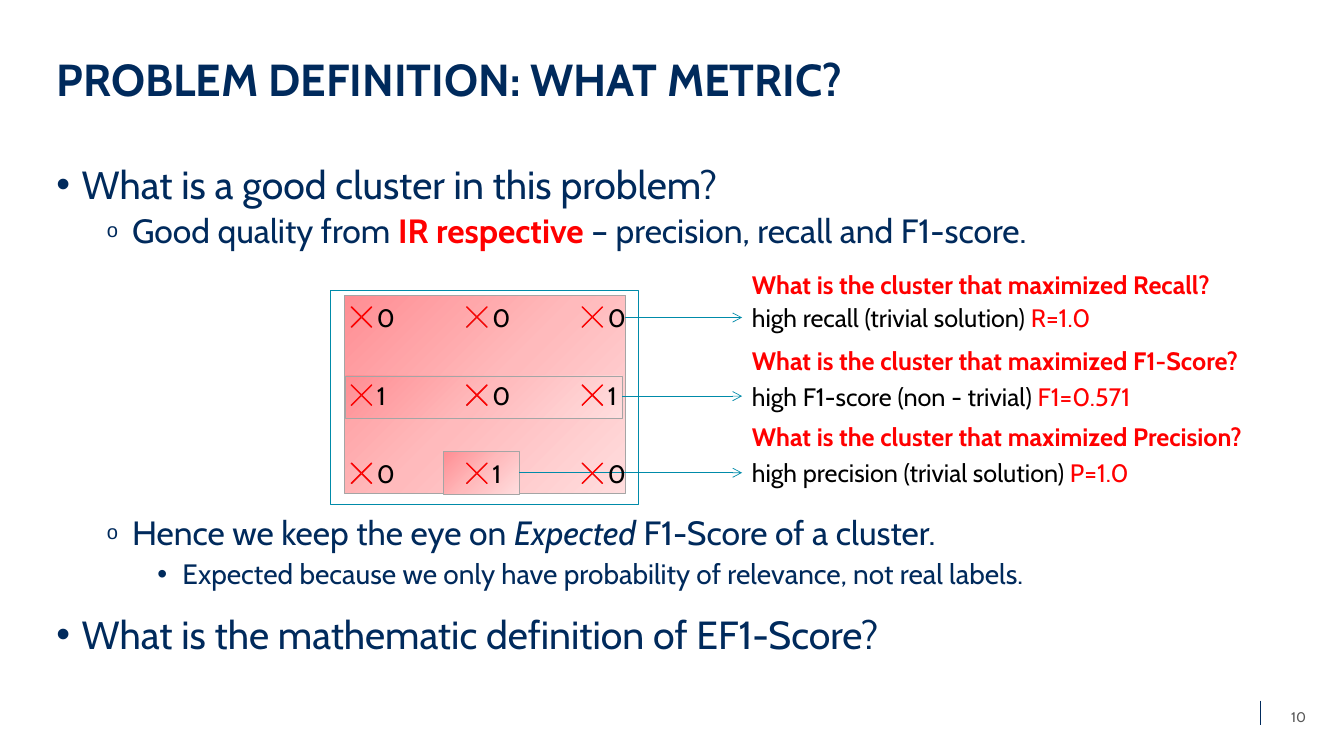
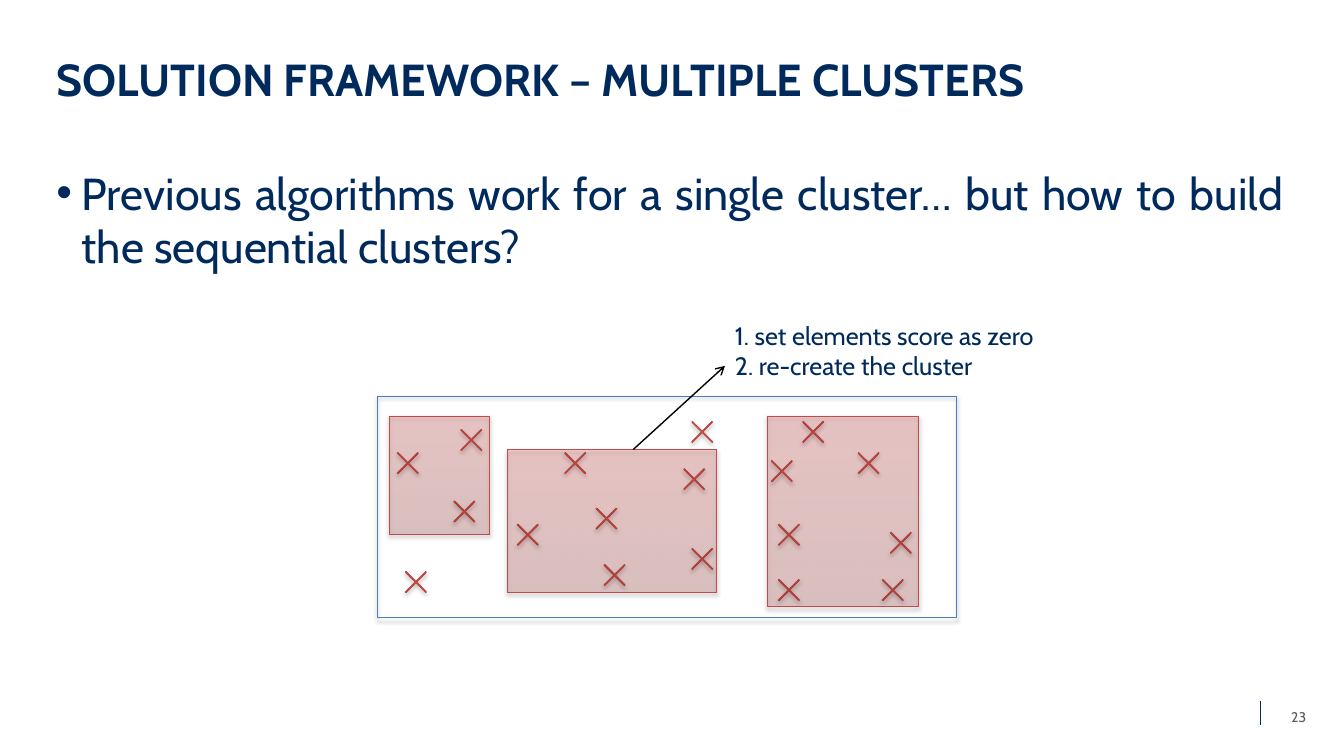
from pptx import Presentation
from pptx.dml.color import RGBColor
from pptx.enum import shapes, text
from pptx.oxml import parse_xml
from pptx.oxml.ns import nsdecls, qn
from pptx.util import Inches, Pt

COLORS = {
    "navy": "002A5C", "red": "FF0000", "black": "000000", "gray": "595959",
    "teal": "008BA9", "silver": "A5A5A5", "blue": "4B7EBC", "brick": "BF4C48",
}
FONT = "Cabin"
ROUND = '<a:path path="circle"><a:fillToRect r="100000" b="100000"/></a:path>'
UP = '<a:lin ang="16200000" scaled="0"/>'
DOWN = '<a:lin ang="5400000" scaled="0"/>'
BRICKS = [(0, "9C2F2D"), (80, "CB3E3A"), (100, "CE3B37")]
# Gradients: stops, direction, opacity in percent
FILLS = {
    "pink": ([(0, "FF8E93"), (50, "FFBABC"), (100, "FFDDDE")], ROUND, 100),
    "steel": ([(0, "AFAFAF"), (50, "A5A5A5"), (100, "939393")], DOWN, 100),
    "brick": (BRICKS, UP, 100),
    "glass": (BRICKS, UP, 23),
}
# Bullet levels: left indent, mark, mark size in percent
LEVELS = [(0.25, "•", 100), (0.75, "o", 60), (1.25, "•", 100)]
MARK = 0.39


def rgb(name):
    return RGBColor.from_string(COLORS[name])


def style(font, size, color="navy", bold=False):
    font.name, font.size, font.bold = FONT, Pt(size), bold
    font.color.rgb = rgb(color)


def write(para, parts, size, color="navy", bold=False):
    """Parts are strings or (string, font changes) pairs."""
    style(para.font, size, color, bold)
    for part in [parts] if isinstance(parts, str) else parts:
        words, change = (part, {}) if isinstance(part, str) else part
        run = para.add_run()
        run.text = words
        if "color" in change:
            run.font.color.rgb = rgb(change["color"])
        if "bold" in change:
            run.font.bold = change["bold"]
        if "italic" in change:
            run.font.italic = change["italic"]


def indent(para, left, hang):
    props = para._p.get_or_add_pPr()
    props.set("marL", str(Inches(left)))
    props.set("indent", str(-Inches(hang)))
    return props


def place(shape, x, y, w, h):
    shape.left, shape.top = Inches(x), Inches(y)
    shape.width, shape.height = Inches(w), Inches(h)


def label(slide, x, y, w, h, lines, size=18, color="black", bold=False,
          wrap=True, align=text.PP_ALIGN.LEFT, hang=0):
    box = slide.shapes.add_textbox(Inches(x), Inches(y), Inches(w), Inches(h))
    frame = box.text_frame
    frame.word_wrap = wrap
    for i, parts in enumerate(lines):
        para = frame.add_paragraph() if i else frame.paragraphs[0]
        para.alignment = align
        if hang:
            indent(para, hang, hang)
        write(para, parts, size, color, bold)
    return frame


def shade(shape, name):
    stops, way, alpha = FILLS[name]
    marks = "".join(
        f'<a:gs pos="{pos * 1000}"><a:srgbClr val="{hue}">'
        f'<a:alpha val="{alpha * 1000}"/></a:srgbClr></a:gs>'
        for pos, hue in stops)
    grad = parse_xml(f'<a:gradFill {nsdecls("a")} rotWithShape="1">'
                     f'<a:gsLst>{marks}</a:gsLst>{way}</a:gradFill>')
    props = shape._element.spPr
    props.replace(props.find(qn("a:noFill")), grad)


def draw(slide, kind, x, y, w, h, fill, line, width=0.5, shadow=False):
    shape = slide.shapes.add_shape(kind, Inches(x), Inches(y),
                                   Inches(w), Inches(h))
    shape.fill.background()
    if fill:
        shade(shape, fill)
    shape.line.color.rgb, shape.line.width = rgb(line), Pt(width)
    shape.shadow.inherit = False
    if shadow:
        shape._element.spPr.find(qn("a:effectLst")).append(parse_xml(
            f'<a:outerShdw {nsdecls("a")} blurRad="{Pt(3.1)}" '
            f'dist="{Pt(1.8)}" dir="5400000" rotWithShape="0">'
            '<a:srgbClr val="000000"><a:alpha val="35000"/></a:srgbClr>'
            '</a:outerShdw>'))
    return shape


def rect(slide, *args, **more):
    return draw(slide, shapes.MSO_SHAPE.RECTANGLE, *args, **more)


def cross(slide, x, y, *args, **more):
    mark = draw(slide, shapes.MSO_SHAPE.MATH_MULTIPLY, x, y, MARK, MARK,
                *args, **more)
    mark.adjustments[0] = 0.02


def rule(slide, x1, y1, x2, y2, color, width=0.5, arrow=False):
    line = slide.shapes.add_connector(
        shapes.MSO_CONNECTOR.STRAIGHT,
        Inches(x1), Inches(y1), Inches(x2), Inches(y2))
    line.line.color.rgb, line.line.width = rgb(color), Pt(width)
    props = line._element.spPr
    if arrow:
        props.find(qn("a:ln")).append(
            parse_xml(f'<a:tailEnd {nsdecls("a")} type="arrow"/>'))
    props.append(parse_xml(f'<a:effectLst {nsdecls("a")}/>'))


def base(deck, title, number):
    """Title, footer rule and page number."""
    slide = deck.slides.add_slide(deck.slide_layouts[1])
    head = slide.shapes.title
    place(head, 0.46, 0.33, 12.38, 0.96)
    frame = head.text_frame
    frame.auto_size = text.MSO_AUTO_SIZE.NONE
    frame.vertical_anchor = text.MSO_ANCHOR.MIDDLE
    para = frame.paragraphs[0]
    para.alignment, para.line_spacing = text.PP_ALIGN.LEFT, 0.9
    write(para, title, 32, bold=True)
    rule(slide, 12.5, 6.95, 12.5, 7.19, "navy")
    page = label(slide, 12.64, 6.91, 0.48, 0.4, [number], 10, "gray",
                 align=text.PP_ALIGN.CENTER)
    page.vertical_anchor = text.MSO_ANCHOR.MIDDLE
    return slide


def bullets(slide, height, items, spacing):
    """Items are (level, space before, size, parts)."""
    body = slide.placeholders[1]
    place(body, 0.46, 1.59, 12.38, height)
    frame = body.text_frame
    frame.auto_size = text.MSO_AUTO_SIZE.NONE
    for i, (level, gap, size, parts) in enumerate(items):
        para = frame.add_paragraph() if i else frame.paragraphs[0]
        left, mark, scale = LEVELS[level]
        props = indent(para, left, 0.25)
        para.level, para.alignment = level, text.PP_ALIGN.JUSTIFY
        para.line_spacing, para.space_before = spacing, Pt(gap)
        for tag, key, value in (("buSzPct", "val", scale * 1000),
                                ("buChar", "char", mark)):
            props.append(parse_xml(
                f'<a:{tag} {nsdecls("a")} {key}="{value}"/>'))
        write(para, parts, size)


def lattice(slide, x, y):
    """Grid of scored points, its three clusters and their captions."""
    rect(slide, x, y, 3.05, 2.12, None, "teal")
    clusters = [  # box, caption tops, question, answer, score
        ((0.14, 0.05, 2.78, 1.97), -0.26, 0.07, "Recall",
         "high recall (trivial solution) ", "R=1.0"),
        ((0.15, 0.85, 2.74, 0.42), 0.5, 0.85, "F1-Score",
         "high F1-score (non - trivial) ", "F1=0.571"),
        ((1.12, 1.6, 0.75, 0.42), 1.25, 1.61, "Precision",
         "high precision (trivial solution) ", "P=1.0"),
    ]
    edge = x + 4.08
    for (dx, dy, w, h), ask, reply, goal, answer, score in clusters:
        rect(slide, x + dx, y + dy, w, h, "pink", "silver")
        rule(slide, x + dx + w, y + reply + 0.2, edge, y + reply + 0.2,
             "teal", arrow=True)
        label(slide, edge, y + ask, 5.15, 0.4,
              [f"What is the cluster that maximized {goal}?"],
              color="red", bold=True, wrap=False)
        label(slide, edge, y + reply, 3.97, 0.4,
              [[answer, (score, {"color": "red"})]])
    for row, digits in enumerate(("000", "101", "010")):
        for col, digit in enumerate(digits):
            px, py = x + 0.11 + 1.145 * col, y + 0.07 + 0.775 * row
            cross(slide, px, py, "steel", "red")
            label(slide, px + 0.25, py, 0.27, 0.4, [digit],
                  align=text.PP_ALIGN.CENTER)


def field(slide, x, y):
    """Scattered points, three clusters and the two steps."""
    look = {"width": 0.75, "shadow": True}
    rect(slide, x, y, 5.75, 2.2, None, "blue", **look)
    points = [
        (0.74, 0.24), (2.16, 1.58), (1.3, 1.18), (1.77, 0.47), (2.95, 0.63),
        (3.82, 0.55), (5, 1.26), (4.68, 0.47), (4.92, 1.73), (3.03, 1.42),
        (3.89, 1.18), (3.03, 0.16), (4.13, 0.16), (2.08, 1.02), (0.11, 0.47),
        (0.19, 1.65), (0.67, 0.95), (3.89, 1.73),
    ]
    for dx, dy in points:
        cross(slide, x + dx, y + dy, "brick", "brick", **look)
    for dx, dy, w, h in ((3.87, 0.2, 1.5, 1.89), (1.29, 0.53, 2.08, 1.42),
                         (0.12, 0.2, 1, 1.17)):
        rect(slide, x + dx, y + dy, w, h, "glass", "brick", **look)
    rule(slide, x + 2.54, y + 0.53, x + 3.45, y - 0.3, "black", 1, True)
    label(slide, x + 3.45, y - 0.8, 3.25, 0.71,
          ["1. set elements score as zero", "2. re-create the cluster"],
          color="navy", hang=0.38)


def metric(deck):
    slide = base(deck, "PROBLEM DEFINITION: WHAT METRIC?", "10")
    bullets(slide, 5.32, [
        (0, 0, 28, "What is a good cluster in this problem?"),
        (1, 5, 24, ["Good quality from ",
                    ("IR respective ", {"color": "red", "bold": True}),
                    "– precision, recall and F1-score."]),
        # Wide gap leaves room for the lattice
        (1, 190, 24, ["Hence we keep the eye on ",
                      ("Expected", {"italic": True}),
                      " F1-Score of a cluster."]),
        (2, 5, 20, "Expected because we only have probability of relevance, "
                   "not real labels."),
        (0, 18, 28, "What is the mathematic definition of EF1-Score?"),
    ], 0.9)
    lattice(slide, 3.28, 2.88)


def multiple(deck):
    slide = base(deck, "SOLUTION FRAMEWORK – MULTIPLE CLUSTERS", "23")
    bullets(slide, 4.96, [
        (0, 0, 32, "Previous algorithms work for a single cluster… but how "
                   "to build the sequential clusters?"),
    ], 1.0)
    field(slide, 3.74, 3.93)


def main():
    deck = Presentation()
    deck.slide_width, deck.slide_height = Inches(13.33), Inches(7.5)
    metric(deck)
    multiple(deck)
    deck.save("out.pptx")


if __name__ == "__main__":
    main()
